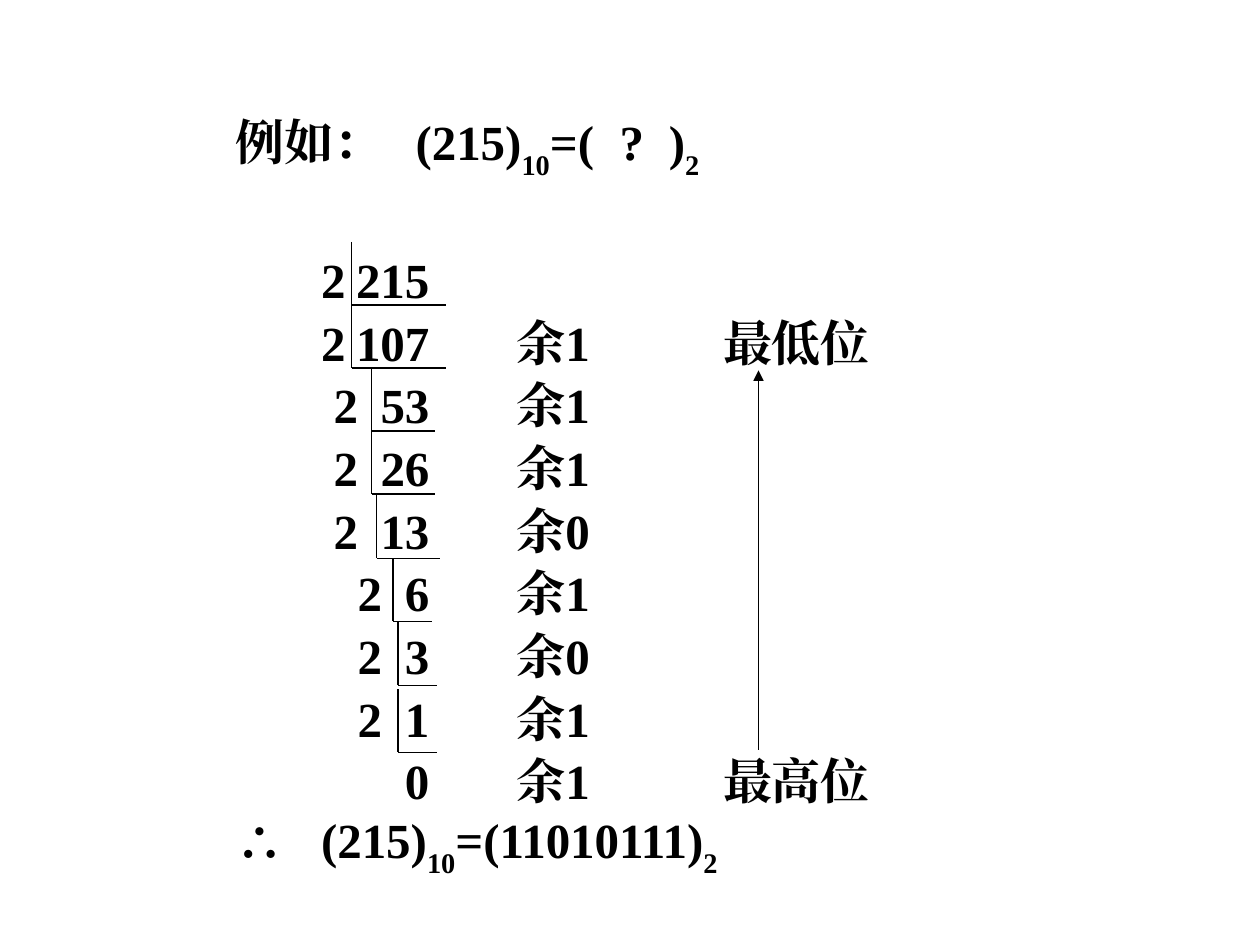
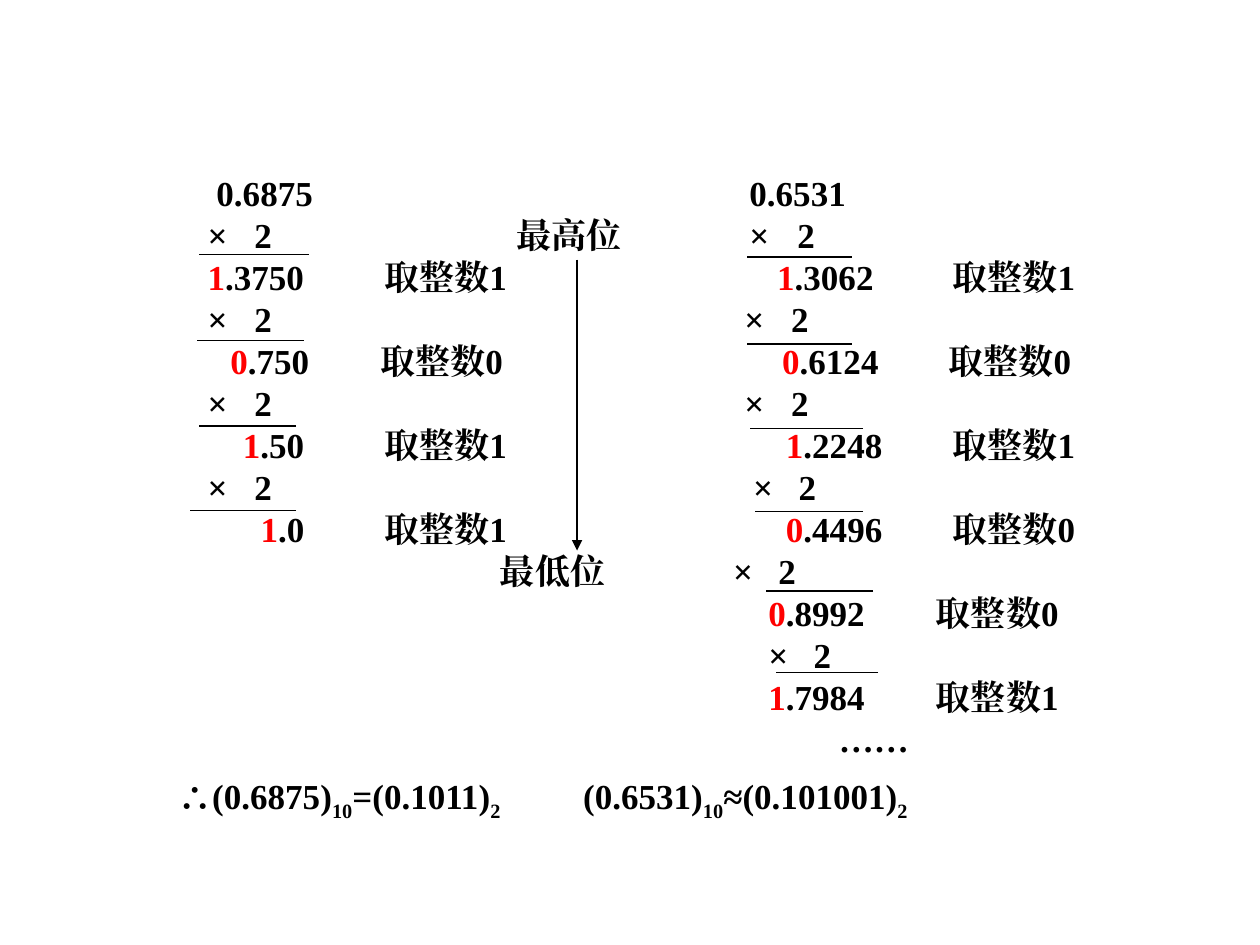
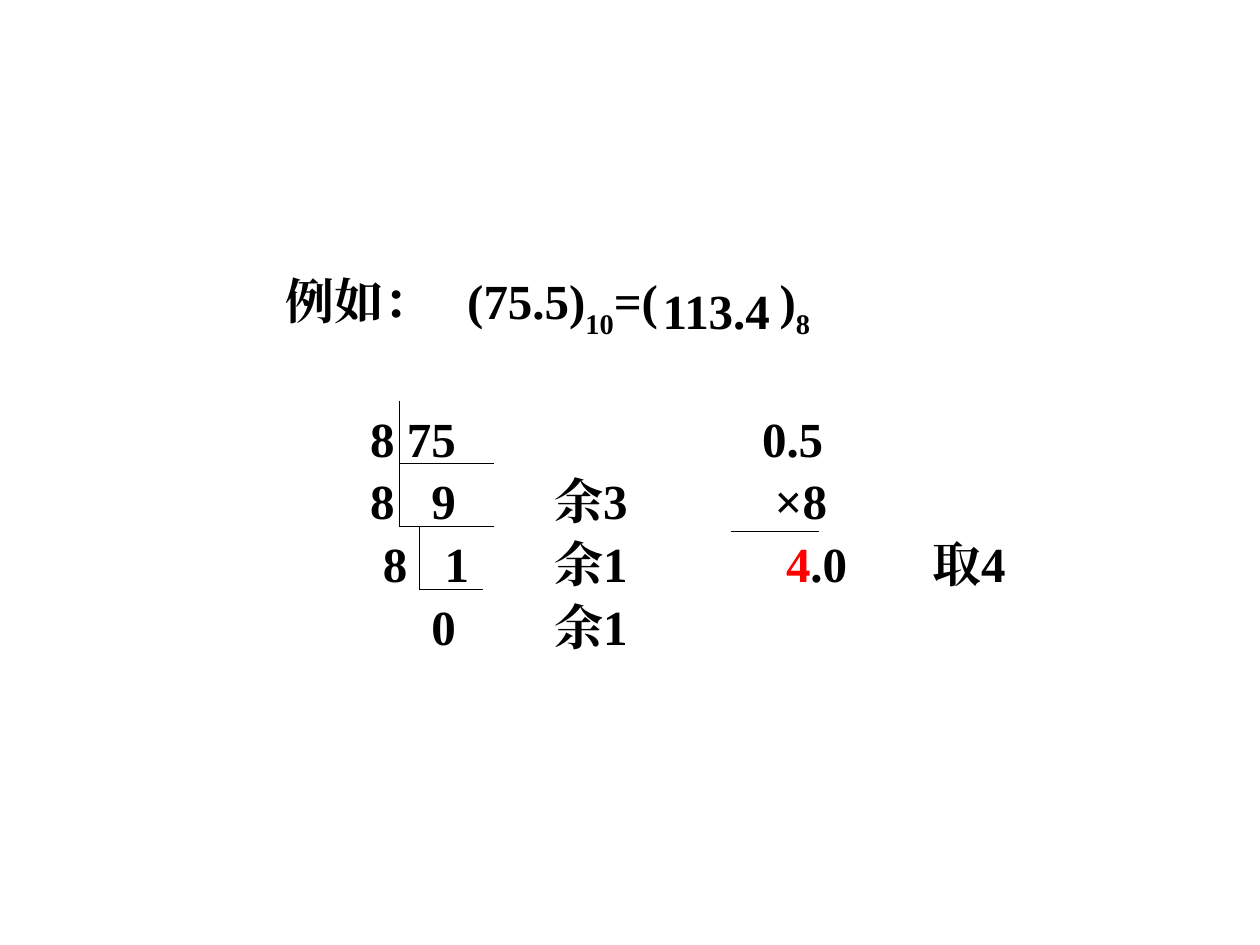
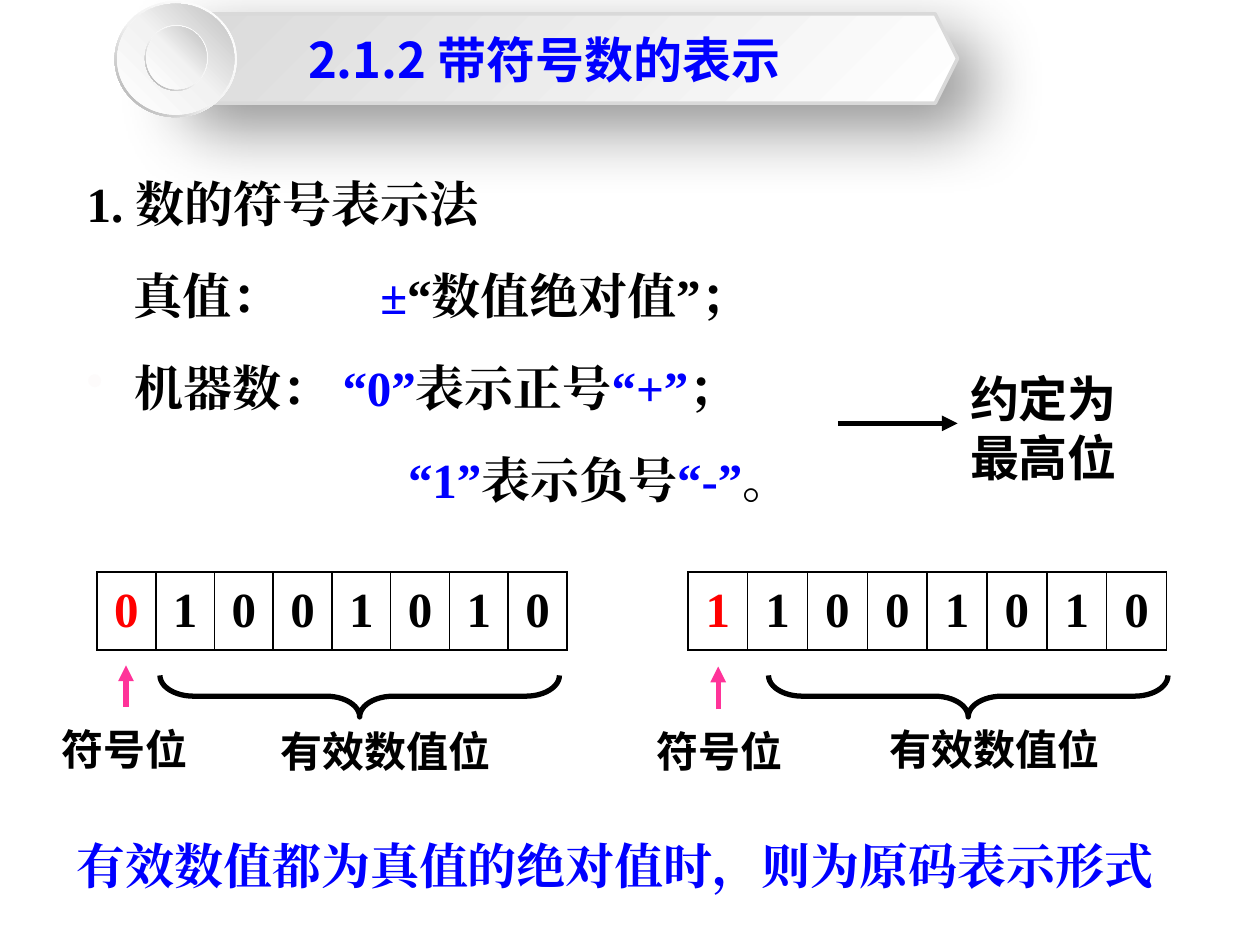
"""Build four slides on number conversion and signed binary numbers."""
from lxml.etree import SubElement
from pptx import Presentation
from pptx.dml.color import RGBColor
from pptx.enum.shapes import MSO_CONNECTOR, MSO_SHAPE
from pptx.enum.text import MSO_ANCHOR, PP_ALIGN
from pptx.oxml.ns import qn
from pptx.util import Inches, Pt

INK = {"black": "000000", "red": "FF0000", "blue": "0000FF", "pink": "FF3399",
       "white": "FFFFFF", "pale": "F2F2F2", "grey": "D9D9D9", "mid": "BFBFBF",
       "dark": "A6A6A6", "faint": "FDFBFB"}
SERIF, SANS = "Times New Roman", "Noto Sans CJK SC"


def write(frame, rows, size=28, line=None, gap=0, face=SERIF, ink="black",
          accent="red", right=None, sub=-30, inset=(0.1, 0.05)):
    """Fill a frame with (text, tab stops, space before) rows; ~x~ is accented, ~_x~ lowered."""
    frame.word_wrap = True
    frame.margin_left = frame.margin_right = Inches(inset[0])
    frame.margin_top = frame.margin_bottom = Inches(inset[1])
    for n, (text, stops, before) in enumerate(rows):
        para = frame.paragraphs[0] if n == 0 else frame.add_paragraph()
        if line:
            para.line_spacing = Pt(line)
        if n:
            para.space_before = Pt(gap if before is None else before)
        props = para._p.get_or_add_pPr()
        if text.startswith("•"):
            text = text[1:]
            props.set("marL", str(Inches(0.38)))
            props.set("indent", str(Inches(-0.38)))
            SubElement(SubElement(props, qn("a:buClr")), qn("a:srgbClr"), val=INK["faint"])
            SubElement(props, qn("a:buChar"), char="•")
        if stops:
            tabs = SubElement(props, qn("a:tabLst"))
            for stop in stops:
                SubElement(tabs, qn("a:tab"), pos=str(Inches(stop)),
                           algn="r" if stop == right else "l")
        font = para.font
        font.size, font.bold, font.name = Pt(size), True, face
        font.color.rgb = RGBColor.from_string(INK[ink])
        SubElement(font._element, qn("a:ea"), typeface=face)
        for k, bit in enumerate(text.split("~")):
            if not bit:
                continue
            run = para.add_run()
            run.text = bit
            if k % 2 and bit[0] == "_":
                run.text = bit[1:]
                run.font._element.set("baseline", str(sub * 1000))
            elif k % 2:
                run.font.color.rgb = RGBColor.from_string(INK[accent])


def rule(slide, x1, y1, x2, y2, width=0.75, ink="black", arrow=False):
    """Draw a straight line, with an arrowhead at its end if asked."""
    link = slide.shapes.add_connector(
        MSO_CONNECTOR.STRAIGHT, Inches(x1), Inches(y1), Inches(x2), Inches(y2))
    link.line.width = Pt(width)
    link.line.color.rgb = RGBColor.from_string(INK[ink])
    if arrow:
        SubElement(link.line._get_or_add_ln(), qn("a:tailEnd"), type="triangle")
    SubElement(link._element.spPr, qn("a:effectLst"))


deck = Presentation()
deck.slide_width, deck.slide_height = Inches(10), Inches(7.5)
whole, fraction, octal, signed = [
    deck.slides.add_slide(deck.slide_layouts[6]) for _ in range(4)]

rows = [("例如：\t(215)~_10~=(\t?\t)~_2~", (1.43, 3.05, 3.44), None)]
steps = [(0.68, "215", ""), (0.68, "107", "余1\t最低位"), (0.78, "53", "余1"),
         (0.78, "26", "余1"), (0.78, "13", "余0"), (0.97, "6", "余1"),
         (0.97, "3", "余0"), (0.97, "1", "余1")]
for left, value, rest in steps:
    text = f"\t2\t{value}" + (f"\t{rest}" if rest else "")
    rows.append((text, (left, 1.54, 2.23, 3.87), 42.4 if value == "215" else None))
rows.append(("\t0\t余1\t最高位", (1.54, 2.23, 3.87), None))
rows.append(("∴\t(215)~_10~=(11010111)~_2~", (0.68,), 9.7))
box = whole.shapes.add_textbox(Inches(1.77), Inches(0.97), Inches(6.7), Inches(6.2))
write(box.text_frame, rows, line=30.2, gap=5.6, right=1.54)
rule(whole, 6.02, 5.95, 6.02, 2.94, arrow=True)

rows = [
    ("\t0.6875\t0.6531", (1.34, 5.57), None),
    ("\t×\t2\t最高位\t×\t2", (1.27, 1.64, 3.72, 5.57, 5.95), None),
    ("\t~1~.3750\t取整数1\t~1~.3062\t取整数1", (1.27, 2.67, 5.79, 7.18), None),
    ("\t×\t2\t×\t2", (1.27, 1.64, 5.53, 5.9), None),
    ("\t~0~.750\t取整数0\t~0~.6124\t取整数0", (1.45, 2.64, 5.83, 7.15), None),
    ("\t×\t2\t×\t2", (1.27, 1.64, 5.53, 5.9), None),
    ("\t~1~.50\t取整数1\t~1~.2248\t取整数1", (1.55, 2.67, 5.86, 7.18), None),
    ("\t×\t2\t×\t2", (1.27, 1.64, 5.6, 5.96), None),
    ("\t~1~.0\t取整数1\t~0~.4496\t取整数0", (1.69, 2.67, 5.86, 7.18), None),
    ("\t最低位\t×\t2", (3.59, 5.44, 5.8), None),
    ("\t~0~.8992\t取整数0", (5.72, 7.05), None),
    ("\t×\t2", (5.72, 6.08), None),
    ("\t~1~.7984\t取整数1", (5.72, 7.05), None),
    ("\t……", (6.28,), None),
    ("\t∴(0.6875)~_10~=(0.1011)~_2~\t(0.6531)~_10~≈(0.101001)~_2~", (1.03, 4.25), 12)]
box = fraction.shapes.add_textbox(Inches(0.28), Inches(1.31), Inches(8.94), Inches(5.33))
write(box.text_frame, rows, size=20, line=24, sub=-25)
rule(fraction, 4.58, 2.06, 4.58, 4.37, arrow=True)
for start, end, y in [
        (2.45, 1.58, 2.02), (2.41, 1.56, 2.7), (2.35, 1.58, 3.38), (2.35, 1.51, 4.05),
        (6.76, 5.93, 2.04), (6.76, 5.93, 2.73), (6.85, 5.95, 3.4), (6.85, 5.99, 4.06),
        (6.93, 6.08, 4.69), (6.97, 6.16, 5.34)]:
    rule(fraction, start, y, end, y)

rows = [("例如：\t(75.5)~_10~=(\t)~_8~", (1.44, 3.92), None),
        ("\t8\t75\t0.5", (0.67, 1.35, 3.78), 42.4),
        ("\t8\t9\t余3\t×8", (0.67, 1.35, 2.13, 3.88), None),
        ("\t8\t1\t余1\t~4~.0\t取4", (0.77, 1.26, 2.13, 3.97, 5.13), None),
        ("\t0\t余1", (1.35, 2.13), None)]
box = octal.shapes.add_textbox(Inches(2.17), Inches(2.23), Inches(6.14), Inches(3.33))
write(box.text_frame, rows, line=30.2, gap=5.6, right=1.35)
box = octal.shapes.add_textbox(Inches(5.16), Inches(2.18), Inches(1.68), Inches(0.57))
write(box.text_frame, [("113.4", (), None)], line=33.6)
rule(octal, 6.5, 4.22, 5.8, 4.22)

for slide, x, y, width in [
        (whole, 2.79, 1.92, 0.75), (whole, 2.79, 2.42, 0.75), (whole, 2.95, 2.92, 0.5),
        (whole, 2.95, 3.42, 0.5), (whole, 2.99, 3.93, 0.5), (whole, 3.12, 4.43, 0.31),
        (whole, 3.16, 4.94, 0.31), (whole, 3.16, 5.47, 0.31), (octal, 3.17, 3.18, 0.75),
        (octal, 3.17, 3.68, 0.75), (octal, 3.33, 4.18, 0.5)]:
    rule(slide, x, y, x, y + 0.5)
    rule(slide, x, y + 0.5, x + width, y + 0.5)

rows = [("1. 数的符号表示法", (), None),
        ("\t真值：\t~±~“数值绝对值”；", (0.37, 2.33), None),
        ("•机器数： ~“0”~表示正号~“+”~；", (), None),
        ("\t~“1”~表示负号~“-”~。", (2.55,), None)]
box = signed.shapes.add_textbox(Inches(0.59), Inches(1.14), Inches(8.5), Inches(3.06))
write(box.text_frame, rows, line=47, gap=5.6, accent="blue")

bits = "01001010 11001010"
grid = signed.shapes.add_table(
    1, len(bits), Inches(0.77), Inches(4.54), Inches(8.49), Inches(0.62)).table
grid.first_row = grid.horz_banding = False
grid.rows[0].height = Inches(0.62)
for n, bit in enumerate(bits):
    grid.columns[n].width = Inches(3.73 / 8 if n < 8 else 0.96 if n == 8 else 3.8 / 8)
    cell = grid.cell(0, n)
    cell.fill.background()
    cell.vertical_anchor = MSO_ANCHOR.MIDDLE
    props = cell._tc.get_or_add_tcPr()
    for k, side in enumerate(("lnL", "lnR", "lnT", "lnB")):
        edge = SubElement(props, qn(f"a:{side}"), w=str(Pt(1)))
        if bit == " " and k > 1:
            SubElement(edge, qn("a:noFill"))
        else:
            SubElement(SubElement(edge, qn("a:solidFill")), qn("a:srgbClr"), val=INK["black"])
        props.insert(k, edge)
    if bit != " ":
        para = cell.text_frame.paragraphs[0]
        para.text, para.alignment = bit, PP_ALIGN.CENTER
        font = para.font
        font.size, font.bold, font.name = Pt(28), True, SERIF
        font.color.rgb = RGBColor.from_string(INK["red" if n in (0, 9) else "black"])

for text, x, y, width in [("有效数值位", 7, 5.7, 2.33), ("有效数值位", 2.17, 5.72, 2.19),
                          ("符号位", 0.43, 5.7, 1.2), ("符号位", 5.15, 5.72, 1.2)]:
    box = signed.shapes.add_textbox(Inches(x), Inches(y), Inches(width), Inches(0.61))
    write(box.text_frame, [(text, (), None)], size=24, line=31, face=SANS, inset=(0.06, 0.01))
for x in (2.69, 7.52):
    brace = signed.shapes.add_shape(
        MSO_SHAPE.LEFT_BRACE, Inches(x), Inches(3.94), Inches(0.33), Inches(3.17))
    brace.rotation = 270
    brace.adjustments[0] = 0.81
    brace.shadow.inherit = False
    brace.fill.background()
    brace.line.width = Pt(3)
    brace.line.color.rgb = RGBColor.from_string(INK["black"])
rule(signed, 1, 5.61, 1, 5.28, 3, "pink", True)
rule(signed, 5.7, 5.63, 5.7, 5.29, 3, "pink", True)
box = signed.shapes.add_textbox(Inches(0.51), Inches(6.58), Inches(8.9), Inches(0.72))
write(box.text_frame, [("有效数值都为真值的绝对值时，则为原码表示形式", (), None)],
      line=33.6, ink="blue")

band = ((0, "white"), (100, "grey"))
ring = ((0, "white"), (55, "pale"), (100, "dark"))
disc = ((0, "white"), (51, "pale"), (100, "mid"))
for kind, x, y, width, height, stops, angle in [
        (MSO_SHAPE.HEXAGON, 1.23, 0.11, 6.37, 0.71, band, 225),
        (MSO_SHAPE.DONUT, 0.91, 0.01, 0.97, 0.92, ring, 135),
        (MSO_SHAPE.OVAL, 0.93, 0.03, 0.93, 0.88, disc, 315),
        (MSO_SHAPE.DONUT, 1.15, 0.2, 0.5, 0.52, ring, 135),
        (MSO_SHAPE.OVAL, 1.16, 0.21, 0.48, 0.5, disc, 315)]:
    part = signed.shapes.add_shape(kind, Inches(x), Inches(y), Inches(width), Inches(height))
    part.shadow.inherit = False
    part.fill.gradient()
    part.fill.gradient_angle = 360 - angle
    props = part._element.spPr
    ramp = props.find(qn("a:gradFill")).find(qn("a:gsLst"))
    for old in list(ramp):
        ramp.remove(old)
    for pos, ink in stops:
        SubElement(SubElement(ramp, qn("a:gs"), pos=str(pos * 1000)),
                   qn("a:srgbClr"), val=INK[ink])
    part.line.fill.background()
    if kind == MSO_SHAPE.DONUT:
        part.adjustments[0] = 0.05
    if kind == MSO_SHAPE.HEXAGON:
        part.line.width = Pt(2)
        part.line.color.rgb = RGBColor.from_string(INK["grey"])
        shade = SubElement(props.find(qn("a:effectLst")), qn("a:outerShdw"),
                           blurRad=str(Pt(38)), dist=str(Pt(19)), dir="2700000",
                           algn="tl", rotWithShape="0")
        tone = SubElement(shade, qn("a:srgbClr"), val=INK["black"])
        SubElement(tone, qn("a:alpha"), val="42000")
        frame = part.text_frame
        write(frame, [("2.1.2 带符号数的表示", (), None)], face=SANS, ink="blue")
        frame.paragraphs[0].alignment = PP_ALIGN.CENTER
        frame.vertical_anchor = MSO_ANCHOR.MIDDLE
        frame.margin_right = Inches(0.29)

rule(signed, 6.65, 3.36, 7.6, 3.36, 3, arrow=True)
box = signed.shapes.add_textbox(Inches(7.6), Inches(2.88), Inches(1.45), Inches(1.04))
write(box.text_frame, [("约定为", (), None), ("最高位", (), None)], line=33.6, face="Calibri")

deck.save("out.pptx")
